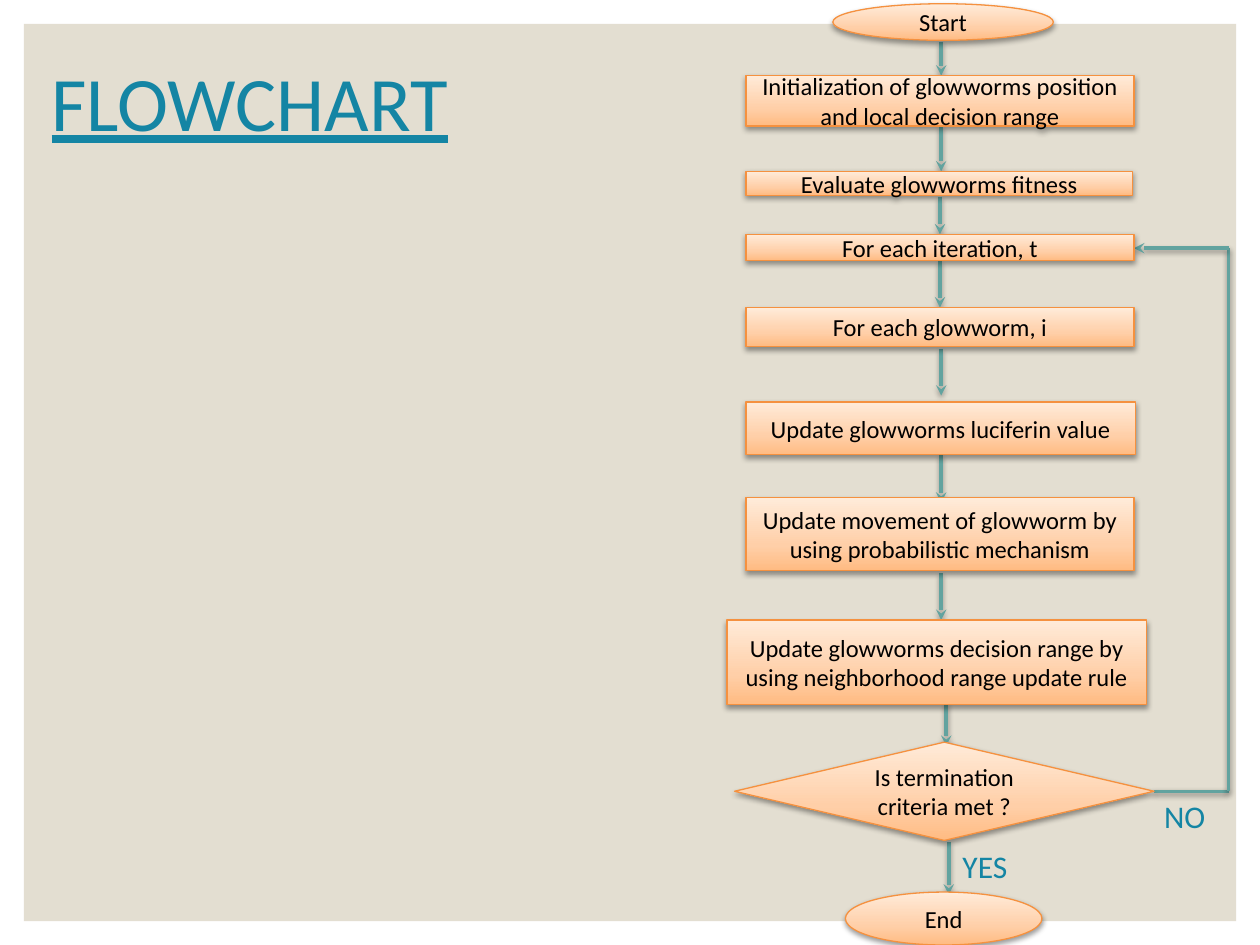
from copy import deepcopy

from lxml import etree
from pptx import Presentation
from pptx.dml.color import RGBColor
from pptx.enum.shapes import MSO_CONNECTOR, MSO_SHAPE
from pptx.enum.text import MSO_ANCHOR, PP_ALIGN
from pptx.oxml.ns import qn
from pptx.util import Inches, Pt

RECT, OVAL, DIAMOND = MSO_SHAPE.RECTANGLE, MSO_SHAPE.OVAL, MSO_SHAPE.DIAMOND
STRAIGHT = MSO_CONNECTOR.STRAIGHT
TOP, MIDDLE = MSO_ANCHOR.TOP, MSO_ANCHOR.MIDDLE
LEFT, CENTER = PP_ALIGN.LEFT, PP_ALIGN.CENTER

COLORS = {"panel": "E3DED1", "accent": "1485A4", "text": "000000",
          "border": "F5913F", "arrow": "62A39F", "shadow": "000000"}
GRADIENT = [(0, "FFBB82"), (0.35, "FFCFA8"), (1, "FFEBD9")]

# shape, left, top, width, height, text
STEPS = [
    (OVAL, 6.61, 0.03, 1.75, 0.29, "Start"),
    (RECT, 5.92, 0.6, 3.08, 0.4,
     "Initialization of glowworms position and local decision range"),
    (RECT, 5.92, 1.36, 3.07, 0.19, "Evaluate glowworms fitness"),
    (RECT, 5.92, 1.86, 3.08, 0.21, "For each iteration, t"),
    (RECT, 5.92, 2.44, 3.08, 0.31, "For each glowworm, i"),
    (RECT, 5.92, 3.19, 3.09, 0.42, "Update glowworms luciferin value"),
    (RECT, 5.92, 3.95, 3.08, 0.58,
     "Update movement of glowworm by using probabilistic mechanism"),
    (RECT, 5.77, 4.92, 3.33, 0.67,
     "Update glowworms decision range by using neighborhood range update rule"),
    (DIAMOND, 5.83, 5.89, 3.33, 0.78, "Is termination criteria met ?"),
    (OVAL, 6.71, 7.08, 1.56, 0.42, "End"),
]
# x, top, bottom
DOWN_ARROWS = [(7.47, 0.33, 0.6), (7.47, 1, 1.36), (7.46, 1.56, 1.86),
               (7.46, 2.07, 2.44), (7.47, 2.77, 3.14), (7.47, 3.61, 3.99),
               (7.47, 4.55, 4.92), (7.51, 5.58, 5.92), (7.53, 6.68, 7.1)]
LOOP = [(9.16, 6.28), (9.75, 6.28), (9.75, 1.97), (9, 1.97)]


def rgb(name):
    """Return the colour stored under a name."""
    return RGBColor.from_string(COLORS[name])


def write(tf, text, size=14, color="text", align=LEFT, anchor=TOP,
          underline=None, spacing=None):
    """Put one formatted paragraph into a text frame."""
    tf.word_wrap = True
    tf.vertical_anchor = anchor
    p = tf.paragraphs[0]
    p.alignment = align
    p.line_spacing = spacing
    r = p.add_run()
    r.text = text
    r.font.name = "Calibri"
    r.font.size = Pt(size)
    r.font.underline = underline
    r.font.color.rgb = rgb(color)


def add_shadow(spPr):
    """Give shape properties a soft shadow that falls downwards."""
    effects = spPr.find(qn("a:effectLst"))
    if effects is None:
        effects = etree.SubElement(spPr, qn("a:effectLst"))
    shadow = etree.SubElement(effects, qn("a:outerShdw"), blurRad="40000",
                              dist="20000", dir="5400000", rotWithShape="0")
    color = etree.SubElement(shadow, qn("a:srgbClr"), val=COLORS["shadow"])
    etree.SubElement(color, qn("a:alpha"), val="38000")


class Flowchart:
    """Draws flowchart elements in one style on the current slide."""

    def __init__(self, slide):
        """Keep the slide to draw on."""
        self.s = slide

    def panel(self, *box):
        """Add the plain background panel."""
        sp = self.s.shapes.add_shape(RECT, *map(Inches, box))
        sp.shadow.inherit = False
        sp.fill.solid()
        sp.fill.fore_color.rgb = rgb("panel")
        sp.line.fill.background()

    def label(self, text, *box, indent=0.1, **style):
        """Add a text box."""
        tf = self.s.shapes.add_textbox(*map(Inches, box)).text_frame
        tf.margin_left = Inches(indent)
        write(tf, text, color="accent", **style)

    def step(self, kind, left, top, width, height, text):
        """Add a flowchart step with gradient, border and shadow."""
        box = map(Inches, (left, top, width, height))
        sp = self.s.shapes.add_shape(kind, *box)
        sp.shadow.inherit = False
        sp.fill.gradient()
        sp.fill.gradient_angle = 90
        spPr = sp._element.spPr
        stops = spPr.find(qn("a:gradFill")).find(qn("a:gsLst"))
        stops.append(deepcopy(stops[0]))
        for stop, (position, color) in zip(sp.fill.gradient_stops, GRADIENT):
            stop.position = position
            stop.color.rgb = RGBColor.from_string(color)
        sp.line.color.rgb = rgb("border")
        sp.line.width = Pt(0.75)
        add_shadow(spPr)
        write(sp.text_frame, text, align=CENTER, anchor=MIDDLE)

    def line(self, start, end, arrow=True):
        """Add a straight line, with an arrowhead at its end if asked."""
        c = self.s.shapes.add_connector(STRAIGHT, *map(Inches, start + end))
        c.line.color.rgb = rgb("arrow")
        c.line.width = Pt(2)
        spPr = c._element.spPr
        if arrow:
            etree.SubElement(spPr.find(qn("a:ln")), qn("a:tailEnd"),
                             type="stealth")
        add_shadow(spPr)


def main():
    """Build the slide and save it."""
    prs = Presentation()
    prs.slide_width, prs.slide_height = Inches(10), Inches(7.5)
    chart = Flowchart(prs.slides.add_slide(prs.slide_layouts[6]))
    chart.panel(0.19, 0.19, 9.62, 7.12)
    chart.label("FLOWCHART", -0.52, 0.22, 9, 1.25, indent=0.93, size=44,
                anchor=MIDDLE, underline=True, spacing=0.9)
    for x, top, bottom in DOWN_ARROWS:
        chart.line((x, top), (x, bottom))
    for start, end in zip(LOOP, LOOP[1:]):
        chart.line(start, end, arrow=end == LOOP[-1])
    for step in STEPS:
        chart.step(*step)
    chart.label("YES", 7.54, 6.67, 0.71, 0.4, size=18)
    chart.label("NO", 9.14, 6.28, 0.63, 0.4, size=18)
    prs.save("out.pptx")


main()
